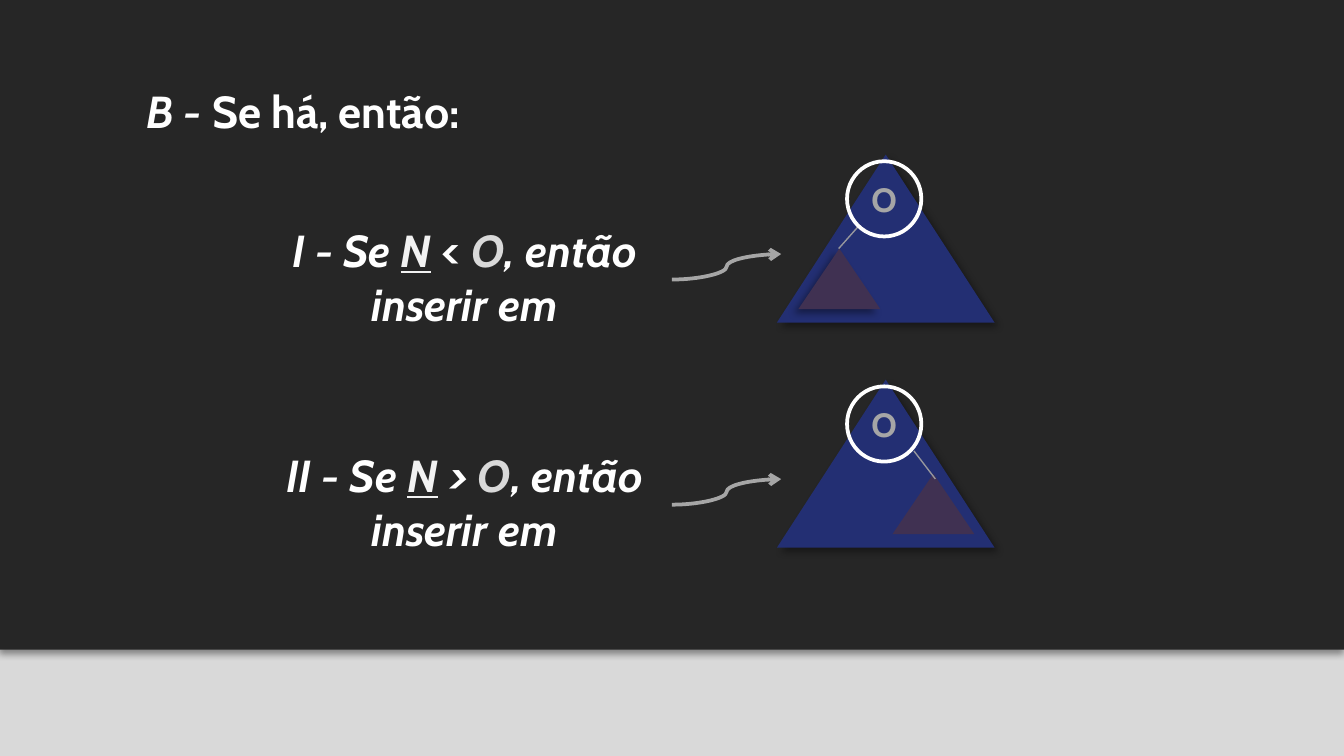
from pptx import Presentation
from pptx.util import Pt
from pptx.dml.color import RGBColor as RGB
from pptx.enum.shapes import MSO_SHAPE as Kind, MSO_CONNECTOR as Link
from pptx.enum.text import PP_ALIGN as Align, MSO_ANCHOR as Anchor
from pptx.oxml import parse_xml
from pptx.oxml.ns import nsdecls

INK = {
    "page": "D9D9D9", "panel": "262626", "white": "FFFFFF", "new": "F2F2F2",
    "tree": "232F73", "branch": "403152", "grey": "A6A6A6", "edge": "97979D",
}

deck = Presentation()
deck.slide_width, deck.slide_height = Pt(720), Pt(405)
slide = deck.slides.add_slide(deck.slide_layouts[6])
slide.background.fill.solid()
slide.background.fill.fore_color.rgb = RGB.from_string(INK["page"])
shapes = slide.shapes


def draw(kind, box, fill=None, angle=None):
    """Add a borderless shape, with a soft shadow if an angle is given."""
    shape = shapes.add_shape(kind, *map(Pt, box))
    shape.shadow.inherit = False
    shape.line.fill.background()
    if fill:
        shape.fill.solid()
        shape.fill.fore_color.rgb = RGB.from_string(INK[fill])
    else:
        shape.fill.background()
    if angle is not None:
        props = shape._element.spPr
        props.remove(props[-1])
        props.append(parse_xml(
            f'<a:effectLst {nsdecls("a")}><a:outerShdw blurRad="{Pt(4)}" dist="{Pt(3)}" '
            f'dir="{angle * 60000}" algn="t" rotWithShape="0"><a:srgbClr val="000000">'
            '<a:alpha val="40000"/></a:srgbClr></a:outerShdw></a:effectLst>'))
    return shape


def write(box, lines, align):
    """Add a text box; each run is (text, colour, italic, underline)."""
    frame = shapes.add_textbox(*map(Pt, box)).text_frame
    frame.word_wrap = True
    frame.vertical_anchor = Anchor.MIDDLE
    frame.margin_left = frame.margin_right = Pt(7.2)
    frame.margin_top = frame.margin_bottom = Pt(7.2)
    for i, line in enumerate(lines):
        para = frame.add_paragraph() if i else frame.paragraphs[0]
        para.alignment = align
        for text, tint, slant, under in line:
            run = para.add_run()
            run.text = text
            font = run.font
            font.name, font.size, font.bold = "Cabin", Pt(24), True
            font.italic, font.underline = slant, under
            font.color.rgb = RGB.from_string(INK[tint])


# Dark panel and heading
draw(Kind.RECTANGLE, (0, 0, 720, 348), "panel", 90)
write((71.3, 33.8, 189.4, 51.1),
      [[("B - ", "white", True, False), ("Se há, então:", "white", False, False)]],
      Align.LEFT)

# Two cases: label, sign and its slant, subtree corner and shadow, edge ends
cases = [
    ("I", "<", False, 427.7, 135, (460.1, 121, 449.3, 133.2)),
    ("II", ">", True, 478.1, None, (489.6, 121, 501.1, 136)),
]
for i, (label, sign, slant, left, angle, edge) in enumerate(cases):
    top = 120.6 * i

    # Rule
    write((139, 122.4 + top, 219.6, 51.1), [
        [(f"{label} - Se ", "white", True, False), ("N", "new", True, True),
         (" ", "white", True, False), (f"{sign} ", "white", slant, False),
         ("O", "page", True, False), (", então", "white", True, False)],
        [("inserir em", "white", True, False)],
    ], Align.CENTER)

    # Tree and subtree
    draw(Kind.ISOSCELES_TRIANGLE, (416.2, 82.8 + top, 116.6, 90), "tree", 45)
    draw(Kind.ISOSCELES_TRIANGLE, (left, 133.2 + top, 43.9, 32.4), "branch", angle)

    # Curved arrow and tree edge
    x1, y1, x2, y2 = edge
    links = [
        (Link.CURVE, (360, 149.8, 418.5, 136.1), "grey", 2),
        (Link.STRAIGHT, (x1, y1, x2, y2), "edge", 0.75),
    ]
    for kind, (ax, ay, bx, by), tint, width in links:
        link = shapes.add_connector(kind, Pt(ax), Pt(ay + top), Pt(bx), Pt(by + top))
        link.line.color.rgb = RGB.from_string(INK[tint])
        link.line.width = Pt(width)
        if kind == Link.CURVE:
            link.line._get_or_add_ln().append(
                parse_xml(f'<a:tailEnd {nsdecls("a")} type="arrow"/>'))
        link._element.spPr.append(parse_xml(f'<a:effectLst {nsdecls("a")}/>'))

    # Root node
    root = draw(Kind.OVAL, (453.8, 86.4 + top, 39.8, 40.3))
    root.line.color.rgb = RGB.from_string(INK["white"])
    root.line.width = Pt(2)
    frame = root.text_frame
    frame.text = "O"
    frame.vertical_anchor = Anchor.MIDDLE
    para = frame.paragraphs[0]
    para.alignment = Align.CENTER
    font = para.runs[0].font
    font.name, font.size, font.bold = "Cabin", Pt(18), True
    font.color.rgb = RGB.from_string(INK["grey"])

deck.save("out.pptx")
